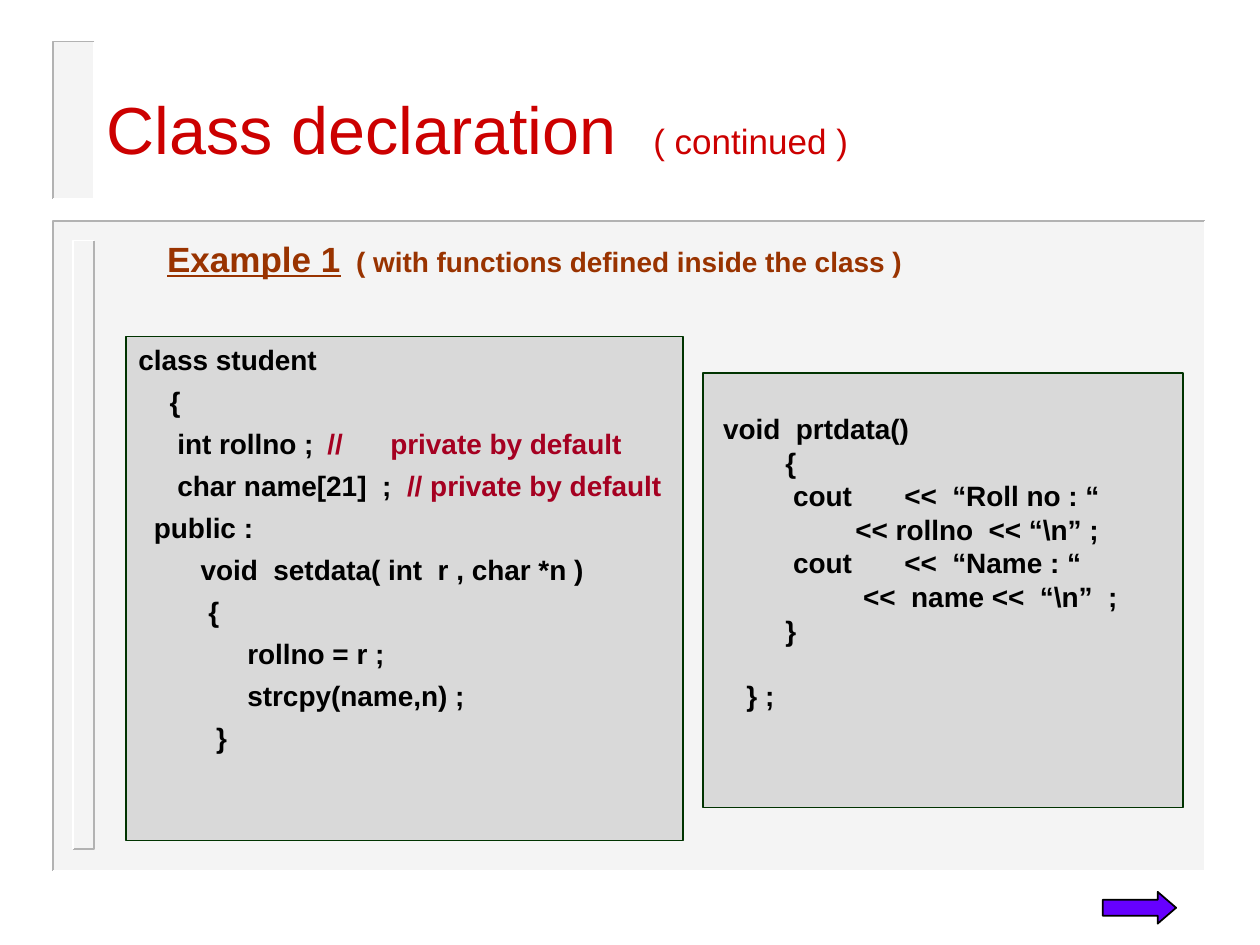
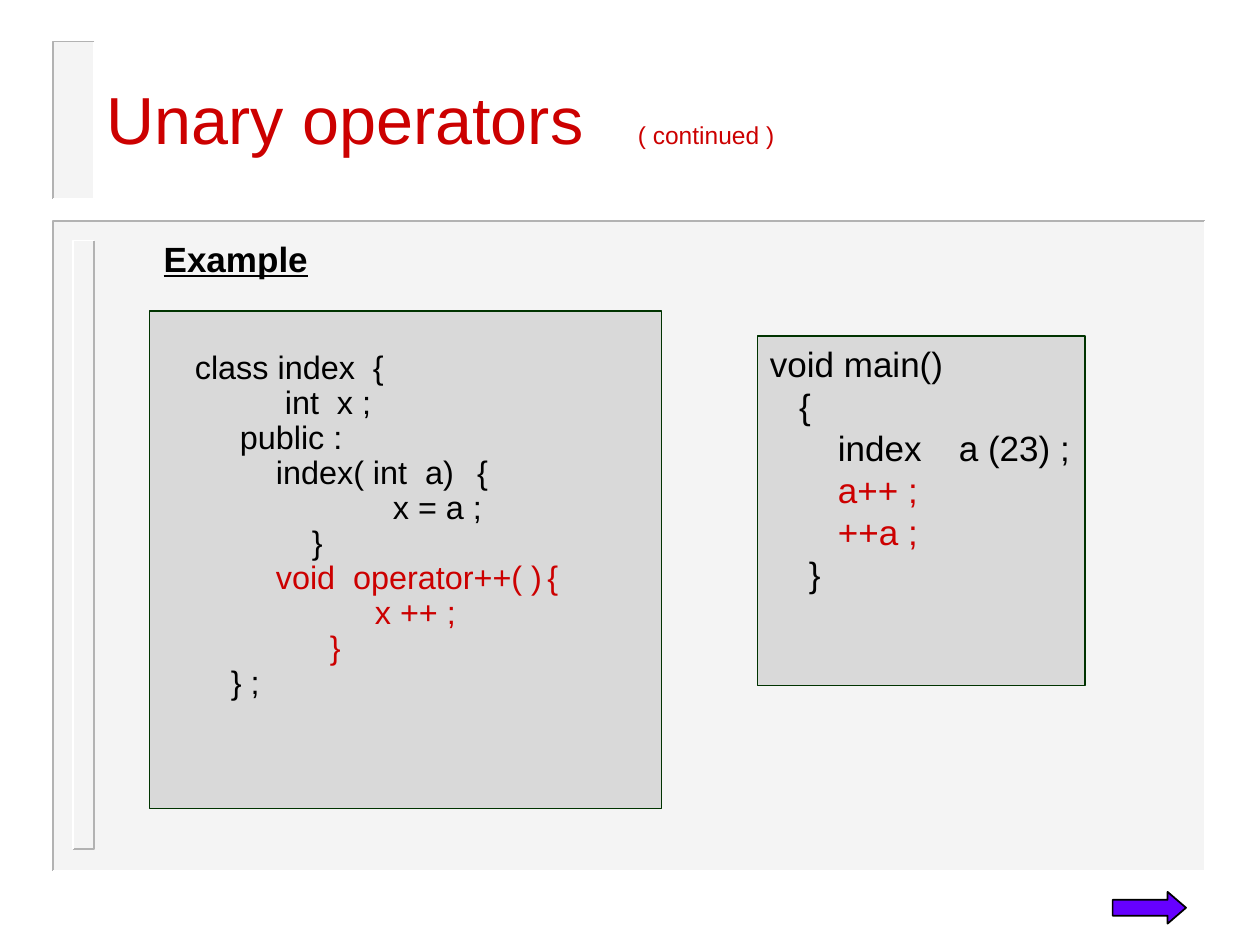
from lxml import etree
from pptx import Presentation
from pptx.dml.color import RGBColor
from pptx.enum import shapes, text
from pptx.oxml import ns
from pptx.util import Cm, Pt

FONT = "Arial"
RED, WINE, RUST, BLACK = "CC0000", "A50021", "993300", "000000"
PALE, GREY, WHITE = "EAEAEA", "B2B2B2", "FFFFFF"
BOX, GREEN, VIOLET = "D9D9D9", "003300", "6600FF"
PAD, SPACE = 0.25, 0.278


def tint(hue):
    """Turn a hex string into a colour."""
    return RGBColor.from_string(hue)


def sub(node, tag, **attrs):
    """Append a drawing element to an XML node."""
    return etree.SubElement(node, ns.qn(tag), {k: str(v) for k, v in attrs.items()})


def put(par, words, size=16, hue=BLACK, bold=False, under=False):
    """Add one formatted run to a paragraph."""
    run = par.add_run()
    run.text = words
    font = run.font
    font.name, font.size, font.bold, font.underline = FONT, Pt(size), bold, under
    font.color.rgb = tint(hue)


def stop(par, *spots):
    """Set left tab stops, in centimetres."""
    if spots:
        tabs = sub(par._p.get_or_add_pPr(), "a:tabLst")
        for spot in spots:
            sub(tabs, "a:tab", pos=Cm(spot), algn="l")


def frame(shape, top=0.13, right=PAD, anchor=text.MSO_ANCHOR.TOP):
    """Set the margins and anchor of a text frame and return it."""
    body = shape.text_frame
    body.word_wrap, body.vertical_anchor = True, anchor
    body.margin_left, body.margin_right = Cm(PAD), Cm(right)
    body.margin_top, body.margin_bottom = Cm(top), Cm(0.13)
    return body


def draw(slide, kind, area, fill, line=None, width=1, alpha=None):
    """Add a flat preset shape."""
    shape = slide.shapes.add_shape(kind, *map(Cm, area))
    shape.shadow.inherit = False
    shape.fill.solid()
    shape.fill.fore_color.rgb = tint(fill)
    if alpha:
        hue = shape.fill._xPr.find(".//" + ns.qn("a:srgbClr"))
        sub(hue, "a:alpha", val=alpha * 1000)
    if line:
        shape.line.color.rgb = tint(line)
        shape.line.width = Pt(width)
    else:
        shape.line.fill.background()
    return shape


def edge(slide, hue, *spots):
    """Draw an open line through points."""
    first, *rest = [(Cm(x), Cm(y)) for x, y in spots]
    pen = slide.shapes.build_freeform(*first)
    pen.add_line_segments(rest, close=False)
    shape = pen.convert_to_shape()
    shape.shadow.inherit = False
    shape.fill.background()
    shape.line.color.rgb = tint(hue)
    shape.line.width = Pt(1)


def sink(slide, area):
    """Draw a pale panel with a dark upper left edge."""
    x, y, wide, high = area
    draw(slide, shapes.MSO_SHAPE.RECTANGLE, area, PALE, alpha=50)
    ends = (x + wide, y), (x, y + high)
    edge(slide, GREY, ends[0], (x, y), ends[1])
    edge(slide, WHITE, ends[0], (x + wide, y + high), ends[1])


def ridge(slide, area):
    """Draw a raised bar with a dark lower right edge."""
    x, y, wide, high = area
    ends = (x, y + high), (x + wide, y)
    edge(slide, GREY, ends[0], (x + wide, y + high), ends[1])
    edge(slide, WHITE, ends[0], (x, y), ends[1])


def title(slide, top, words, size, tab):
    """Write the title and its small suffix."""
    box = slide.shapes.add_textbox(Cm(1.9), Cm(top), Cm(23.5), Cm(3.18))
    par = frame(box, anchor=text.MSO_ANCHOR.MIDDLE).paragraphs[0]
    stop(par, tab)
    put(par, words + "\t", size=38, hue=RED)
    put(par, "( continued )", size=size, hue=RED)


def head(slide, left, words, note="", hue=BLACK):
    """Write the underlined heading and its note."""
    box = slide.shapes.add_textbox(Cm(left), Cm(4.65), Cm(16.5), Cm(1.12))
    par = frame(box).paragraphs[0]
    put(par, words, size=20, hue=hue, bold=True, under=True)
    if note:
        put(par, "  ", hue=hue)
        put(par, note, hue=hue, bold=True)


def row(cols, *bits, tabs=(), gap=0):
    """Describe a code line: indent columns, text bits, tabs and gap above."""
    return cols, bits, tabs, gap


def code(slide, area, rows, size, width=1, top=0.13, left=0, lead=1, bold=False):
    """Draw a box of code lines."""
    box = draw(slide, shapes.MSO_SHAPE.RECTANGLE, area, BOX, GREEN, width)
    body = frame(box, top, right=0)
    for i, (cols, bits, tabs, gap) in enumerate(rows):
        par = body.add_paragraph() if i else body.paragraphs[0]
        par.alignment = text.PP_ALIGN.LEFT
        par.line_spacing, par.space_before = lead, Pt(gap)
        inset = Cm(left) + Pt(cols * SPACE * size)
        props = par._p.get_or_add_pPr()
        props.set("marL", "0")
        props.set("indent", str(inset))
        stop(par, *tabs)
        for bit in bits:
            words, hue = (bit, BLACK) if isinstance(bit, str) else bit
            put(par, words, size=size, hue=hue, bold=bold)


def base(deck, left):
    """Add a slide with the shared panels and the arrow."""
    slide = deck.slides.add_slide(deck.slide_layouts[6])
    sink(slide, (1.07, 4.45, 23.22, 13.11))
    ridge(slide, (1.48, 4.85, 0.42, 12.27))
    sink(slide, (1.07, 0.84, 0.83, 3.18))
    arrow = draw(slide, shapes.MSO_SHAPE.RIGHT_ARROW,
                 (left, 17.98, 1.48, 0.64), VIOLET, BLACK)
    arrow.adjustments[0], arrow.adjustments[1] = 0.5, 0.58
    return slide


def student(deck):
    """Build the slide on class declaration."""
    slide = base(deck, 22.23)
    title(slide, 0.99, "Class declaration", 20, 11.02)
    head(slide, 3.12, "Example 1",
         "( with functions defined inside the class )", RUST)
    gap = 4.8
    code(slide, (2.54, 6.78, 11.23, 10.16), [
        row(0, "class student", gap=gap),
        row(4, "{", gap=gap),
        row(5, "int rollno ;", ("\t//\tprivate by default", WINE),
            tabs=(4.47, 5.23), gap=gap),
        row(5, "char name[21]  ;  ", ("// private by default", WINE), gap=gap),
        row(2, "public :", gap=gap),
        row(8, "void  setdata( int  r , char *n )", gap=gap),
        row(9, "{", gap=gap),
        row(14, "rollno = r ;", gap=gap),
        row(14, "strcpy(name,n) ;", gap=gap),
        row(10, "}", gap=gap),
    ], 16, width=0.75, bold=True)
    code(slide, (14.17, 7.52, 9.68, 8.76), [
        row(1, "void  prtdata()"),
        row(9, "{"),
        row(10, "cout\t<<  “Roll no : “", tabs=(3.19,)),
        row(18, "<< rollno  << “\\n” ;"),
        row(10, "cout\t<<  “Name : “", tabs=(3.19,)),
        row(19, "<<  name <<  “\\n”  ;"),
        row(9, "}"),
        row(4, "} ;", gap=18.4),
    ], 16, top=0.78, bold=True)


def unary(deck):
    """Build the slide on unary operators."""
    slide = base(deck, 22.43)
    title(slide, 0.79, "Unary operators", 14, 10.71)
    head(slide, 3.05, "Example")
    code(slide, (3.02, 6.27, 10.31, 10.03), [
        row(0, "class index  {"),
        row(10, "int  x ;"),
        row(5, "public :"),
        row(9, "index( int  a)\t{", tabs=(6.38,)),
        row(22, "x = a ;"),
        row(13, "}"),
        row(9, ("void  operator++( )\t{", RED), tabs=(8.15,)),
        row(20, ("x ++ ;", RED)),
        row(15, ("}", RED)),
        row(4, "} ;"),
    ], 18.5, width=0.75, top=0.81, left=0.66, lead=0.9)
    code(slide, (15.27, 6.78, 6.6, 7.04), [
        row(0, "void main()"),
        row(3, "{"),
        row(7, "index\ta (23) ;", tabs=(3.81,)),
        row(7, ("a++ ;", RED)),
        row(7, ("++a ;", RED)),
        row(4, "}"),
    ], 20)


def main():
    """Build and save the deck."""
    deck = Presentation()
    deck.slide_width, deck.slide_height = Cm(25.4), Cm(19.05)
    student(deck)
    unary(deck)
    deck.save("out.pptx")


if __name__ == "__main__":
    main()
